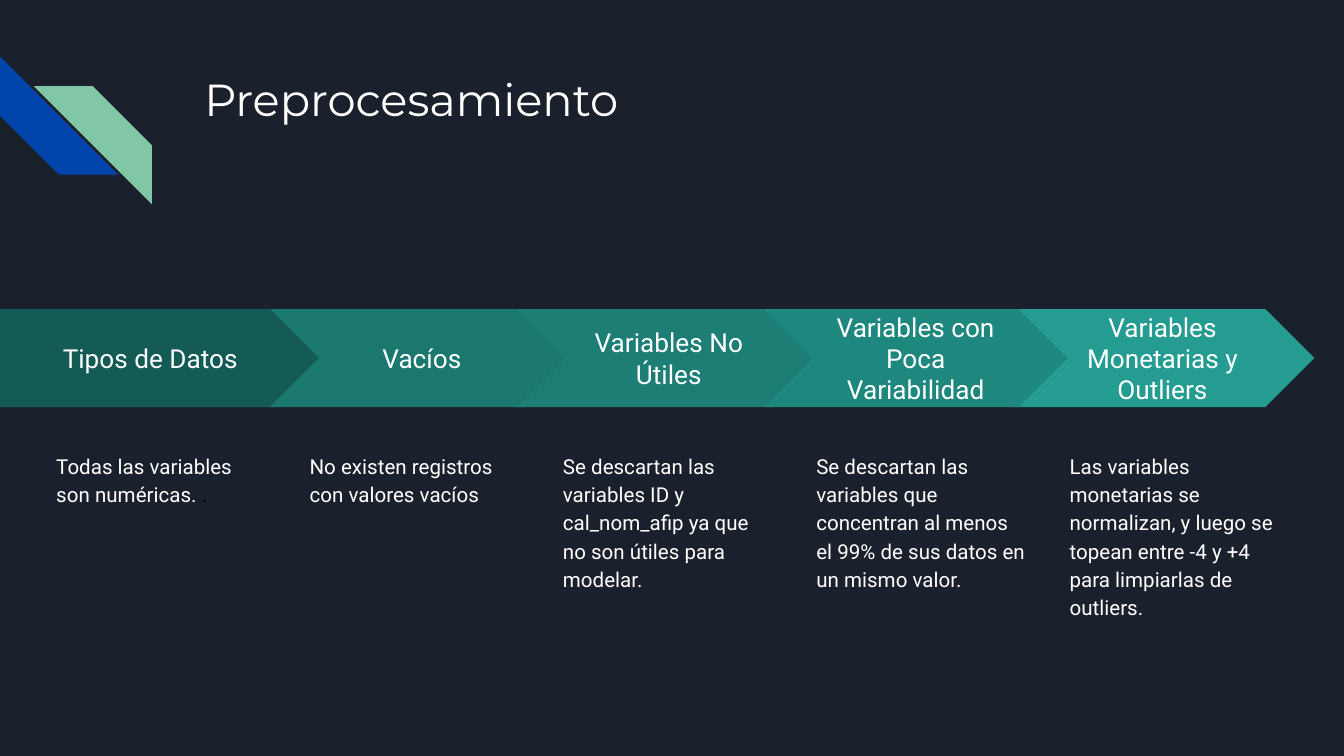
from pptx import Presentation
from pptx.dml.color import RGBColor
from pptx.enum.shapes import MSO_SHAPE
from pptx.enum.text import MSO_ANCHOR, MSO_AUTO_SIZE, PP_ALIGN
from pptx.util import Inches, Pt

STRIPE, PENTAGON, CHEVRON = MSO_SHAPE.DIAGONAL_STRIPE, MSO_SHAPE.PENTAGON, MSO_SHAPE.CHEVRON
TOP, MIDDLE = MSO_ANCHOR.TOP, MSO_ANCHOR.MIDDLE
LEFT, CENTER = PP_ALIGN.LEFT, PP_ALIGN.CENTER
NO_AUTOFIT = MSO_AUTO_SIZE.NONE

BACKGROUND = RGBColor(0x1B, 0x21, 0x2C)
WHITE = RGBColor(0xFF, 0xFF, 0xFF)
BLACK = RGBColor(0x00, 0x00, 0x00)
BLUE = RGBColor(0x01, 0x45, 0xAC)
GREEN = RGBColor(0x82, 0xC7, 0xA5)
TEALS = [
    RGBColor(0x15, 0x5B, 0x55),
    RGBColor(0x1B, 0x78, 0x6F),
    RGBColor(0x1D, 0x7E, 0x75),
    RGBColor(0x1F, 0x88, 0x7E),
    RGBColor(0x24, 0x9C, 0x91),
]

STEPS = [
    ("Tipos de Datos", "Todas las variables son numéricas. "),
    ("Vacíos", "No existen registros con valores vacíos"),
    ("Variables No Útiles",
     "Se descartan las variables ID y cal_nom_afip ya que no son útiles para modelar."),
    ("Variables con Poca Variabilidad",
     "Se descartan las variables que concentran al menos el 99% de sus datos en un mismo valor."),
    ("Variables Monetarias y Outliers",
     "Las variables monetarias se normalizan, y luego se topean entre -4 y +4 "
     "para limpiarlas de outliers."),
]


def add_filled_shape(kind, left, top, width, height, color):
    sp = s.shapes.add_shape(kind, Inches(left), Inches(top), Inches(width), Inches(height))
    sp.shadow.inherit = False
    sp.fill.solid()
    sp.fill.fore_color.rgb = color
    sp.line.fill.background()
    return sp


def write_text(sp, text, font, size, align=LEFT, anchor=TOP):
    tf = sp.text_frame
    tf.word_wrap = True
    tf.auto_size = NO_AUTOFIT
    tf.vertical_anchor = anchor
    tf.margin_left = tf.margin_right = tf.margin_top = tf.margin_bottom = Inches(0.1)
    p = tf.paragraphs[0]
    p.alignment = align
    r = p.add_run()
    r.text = text
    p.font.name = font
    p.font.size = Pt(size)
    p.font.color.rgb = WHITE
    return p


prs = Presentation()
prs.slide_width = Inches(10)
prs.slide_height = prs.slide_width * 9 // 16
s = prs.slides.add_slide(prs.slide_layouts[5])
s.background.fill.solid()
s.background.fill.fore_color.rgb = BACKGROUND

# Corner stripes
for left, top, rotation, color in [(0, 0.42, 270, BLUE), (0.25, 0.64, 90, GREEN)]:
    sp = add_filled_shape(STRIPE, left, top, 0.88, 0.88, color)
    sp.rotation = rotation

# Title
title = s.shapes.title
title.left, title.top, title.width, title.height = Inches(1.42), Inches(0.43), Inches(7.7), Inches(1)
p = write_text(title, "Preprocesamiento", "Montserrat", 24)
p.line_spacing = 1

# Process arrows with their descriptions; the fourth arrow lies over the fifth
for i in (0, 1, 2, 4, 3):
    heading, description = STEPS[i]
    if i == 0:
        sp = add_filled_shape(PENTAGON, 0, 2.3, 2.42, 0.73, TEALS[i])
    else:
        sp = add_filled_shape(CHEVRON, 2.01 + 5.51 / 3 * (i - 1), 2.3, 2.26, 0.73, TEALS[i])
    write_text(sp, heading, "Roboto", 14, CENTER, MIDDLE)

    box = s.shapes.add_textbox(Inches(0.32 + 7.54 / 4 * i), Inches(3.25), Inches(1.78), Inches(2.57))
    p = write_text(box, description, "Roboto", 11)
    p.line_spacing = 1.15
    if i == 0:
        r = p.add_run()
        r.text = "."
        r.font.color.rgb = BLACK

prs.save("out.pptx")
